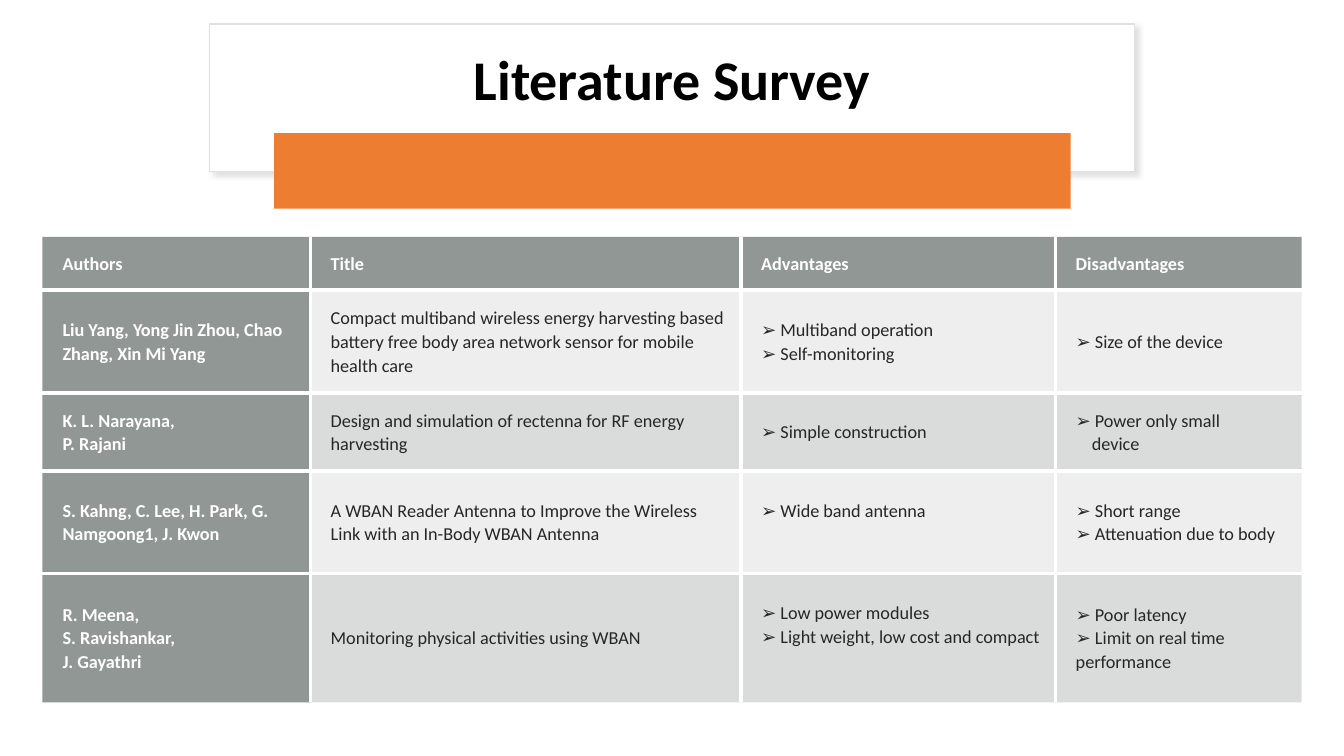
from dataclasses import dataclass

from lxml import etree
from pptx import Presentation
from pptx.dml.color import RGBColor
from pptx.enum.shapes import MSO_SHAPE
from pptx.enum.text import MSO_ANCHOR, PP_ALIGN
from pptx.oxml.ns import qn
from pptx.util import Inches, Pt

RECT, ROUND_RECT = MSO_SHAPE.RECTANGLE, MSO_SHAPE.ROUNDED_RECTANGLE
MIDDLE, CENTER = MSO_ANCHOR.MIDDLE, PP_ALIGN.CENTER
FONT = "Calibri"
WHITE, BLACK, BODY_TEXT = "FFFFFF", "000000", "262626"
HEAD_FILL, BODY_FILL = "636B68", "878E8B"
COL_WIDTHS = (2.66, 4.27, 3.12, 2.44)
ROW_HEIGHTS = (0.53, 1.02, 0.77, 1.02, 1.28)
HANGING = 0.16


@dataclass
class Entry:
    """Cell text, one paragraph per line; "\\v" breaks a line inside a paragraph."""
    lines: list[str]
    space_below: float = 0
    last_indent: float = 0


ROWS = [
    [Entry(["Authors"]), Entry(["Title"]), Entry(["Advantages"]), Entry(["Disadvantages"])],
    [Entry(["Liu Yang, Yong Jin Zhou, Chao Zhang, Xin Mi Yang"]),
     Entry(["Compact multiband wireless energy harvesting based battery free "
            "body area network sensor for mobile health care"]),
     Entry(["➢ Multiband operation", "➢ Self-monitoring"]),
     Entry(["➢ Size of the device"])],
    [Entry(["K. L. Narayana,", "P. Rajani"]),
     Entry(["Design and simulation of rectenna for RF energy harvesting"]),
     Entry(["➢ Simple construction"]),
     Entry(["➢ Power only small", "device"], last_indent=HANGING)],
    [Entry(["S. Kahng, C. Lee, H. Park, G. Namgoong1, J. Kwon"]),
     Entry(["A WBAN Reader Antenna to Improve the Wireless Link with an In-Body WBAN Antenna"]),
     Entry(["➢ Wide band antenna"], space_below=0.22),
     Entry(["➢ Short range\v➢ Attenuation due to body"])],
    [Entry(["R. Meena,", "S. Ravishankar,", "J. Gayathri"]),
     Entry(["Monitoring physical activities using WBAN"]),
     Entry(["➢ Low power modules", "➢ Light weight, low cost and compact"], space_below=0.26),
     Entry(["➢ Poor latency", "➢ Limit on real time performance"])],
]


def rgb(value: str) -> RGBColor:
    return RGBColor.from_string(value)


def add_color(parent, value: str, alpha: int = 100) -> None:
    color = etree.SubElement(parent, qn("a:srgbClr"), val=value)
    if alpha < 100:
        etree.SubElement(color, qn("a:alpha"), val=str(alpha * 1000))


def set_font(p, size: float, color: str, bold: bool) -> None:
    p.font.name, p.font.size, p.font.bold = FONT, Pt(size), bold
    p.font.color.rgb = rgb(color)


def add_box(s, shape: MSO_SHAPE, left: float, top: float, width: float, height: float,
            fill: str, line: str | None = None):
    sp = s.shapes.add_shape(shape, Inches(left), Inches(top), Inches(width), Inches(height))
    sp.shadow.inherit = False
    sp.fill.solid()
    sp.fill.fore_color.rgb = rgb(fill)
    if line:
        sp.line.color.rgb = rgb(line)
        sp.line.width = Pt(1)
    else:
        sp.line.fill.background()
    return sp


def add_shadow(sp) -> None:
    effects = sp._element.spPr.find(qn("a:effectLst"))
    shadow = etree.SubElement(effects, qn("a:outerShdw"), blurRad=str(Pt(4)), dist=str(Pt(3)),
                              dir=str(45 * 60000), algn="tl", rotWithShape="0")
    add_color(shadow, "C5C3C3", 50)


def add_title(s, text: str) -> None:
    tf = s.shapes.add_textbox(Inches(2.3), Inches(0.34), Inches(8.73), Inches(0.95)).text_frame
    tf.word_wrap = True
    tf.vertical_anchor = MIDDLE
    p = tf.paragraphs[0]
    p.text = text
    p.alignment, p.line_spacing = CENTER, 0.9
    set_font(p, 40, BLACK, True)


def style_cell(cell, fill: str, alpha: int, inner_sides: dict[str, bool]) -> None:
    """Fill a cell and rule its inner sides in white, leaving the table's edge bare."""
    cell.fill.solid()
    cell.fill.fore_color.rgb = rgb(fill)
    tc_pr = cell._tc.get_or_add_tcPr()
    color = tc_pr.find(qn("a:solidFill"))[0]
    etree.SubElement(color, qn("a:alpha"), val=str(alpha * 1000))
    for i, (side, inner) in enumerate(inner_sides.items()):
        ln = etree.Element(qn(f"a:ln{side}"), w=str(Pt(3) if inner else 0))
        if inner:
            add_color(etree.SubElement(ln, qn("a:solidFill")), WHITE)
        else:
            etree.SubElement(ln, qn("a:noFill"))
        tc_pr.insert(i, ln)


def write_cell(cell, entry: Entry, heading: bool) -> None:
    cell.vertical_anchor = MIDDLE
    cell.margin_left = Inches(0.2)
    cell.margin_top = cell.margin_right = Inches(0.12)
    cell.margin_bottom = Inches(0.12 + entry.space_below)
    tf = cell.text_frame
    for i, line in enumerate(entry.lines):
        p = tf.add_paragraph() if i else tf.paragraphs[0]
        p.text = line
        p.line_spacing = 1.07
        set_font(p, 13, WHITE if heading else BODY_TEXT, heading)
    if entry.last_indent:
        p.font._element.getparent().set("marL", str(Inches(entry.last_indent)))


def add_survey_table(s) -> None:
    table = s.shapes.add_table(len(ROWS), len(COL_WIDTHS), Inches(0.42), Inches(2.35),
                               Inches(sum(COL_WIDTHS)), Inches(sum(ROW_HEIGHTS))).table
    table.first_col = True
    for column, width in zip(table.columns, COL_WIDTHS):
        column.width = Inches(width)
    for row, height in zip(table.rows, ROW_HEIGHTS):
        row.height = Inches(height)
    for r, entries in enumerate(ROWS):
        for c, entry in enumerate(entries):
            cell = table.cell(r, c)
            heading = r == 0 or c == 0
            fill, alpha = (HEAD_FILL, 70) if heading else (BODY_FILL, 15 if r % 2 else 30)
            style_cell(cell, fill, alpha, {"L": c > 0, "R": c < len(COL_WIDTHS) - 1,
                                           "T": r > 0, "B": r < len(ROWS) - 1})
            write_cell(cell, entry, heading)


def main() -> None:
    prs = Presentation()
    prs.slide_width, prs.slide_height = Inches(13.33), Inches(7.5)
    s = prs.slides.add_slide(prs.slide_layouts[6])
    add_shadow(add_box(s, RECT, 2.08, 0.24, 9.17, 1.46, WHITE, "E1E1E1"))
    add_title(s, "Literature Survey")
    accent = add_box(s, ROUND_RECT, 2.72, 1.32, 7.9, 0.75, "ED7D31")
    accent.adjustments[0] = 0
    add_survey_table(s)
    prs.save("out.pptx")


if __name__ == "__main__":
    main()
